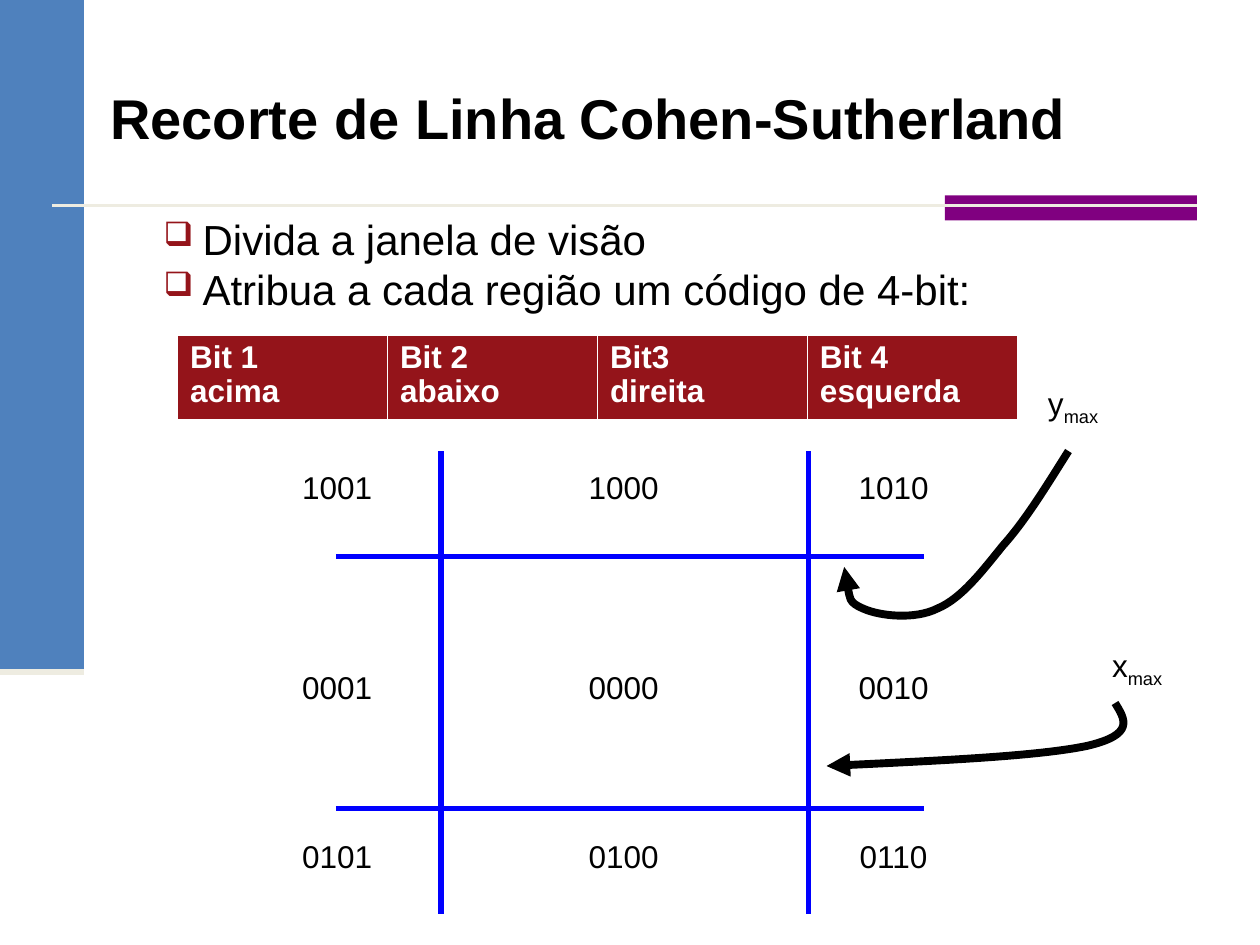
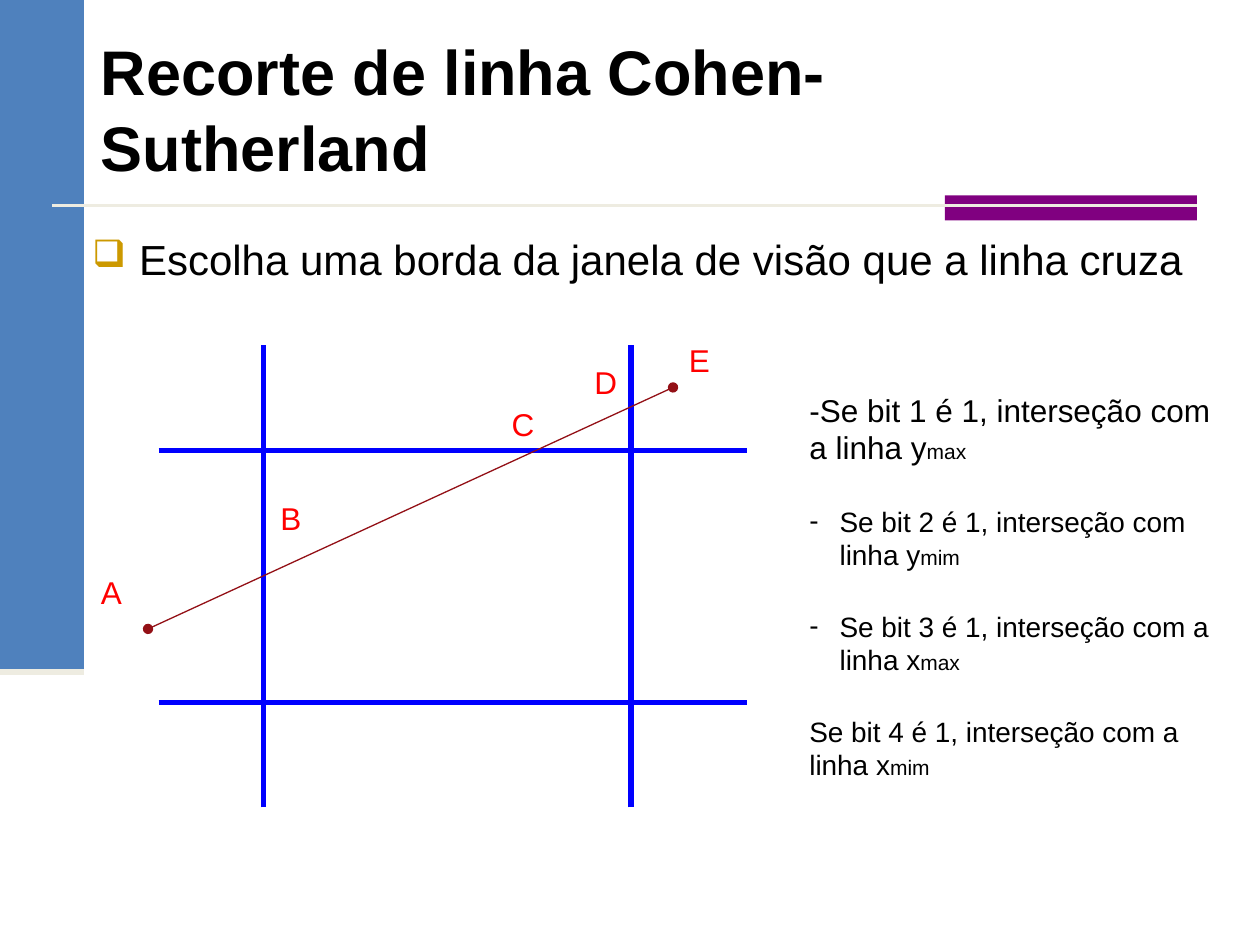
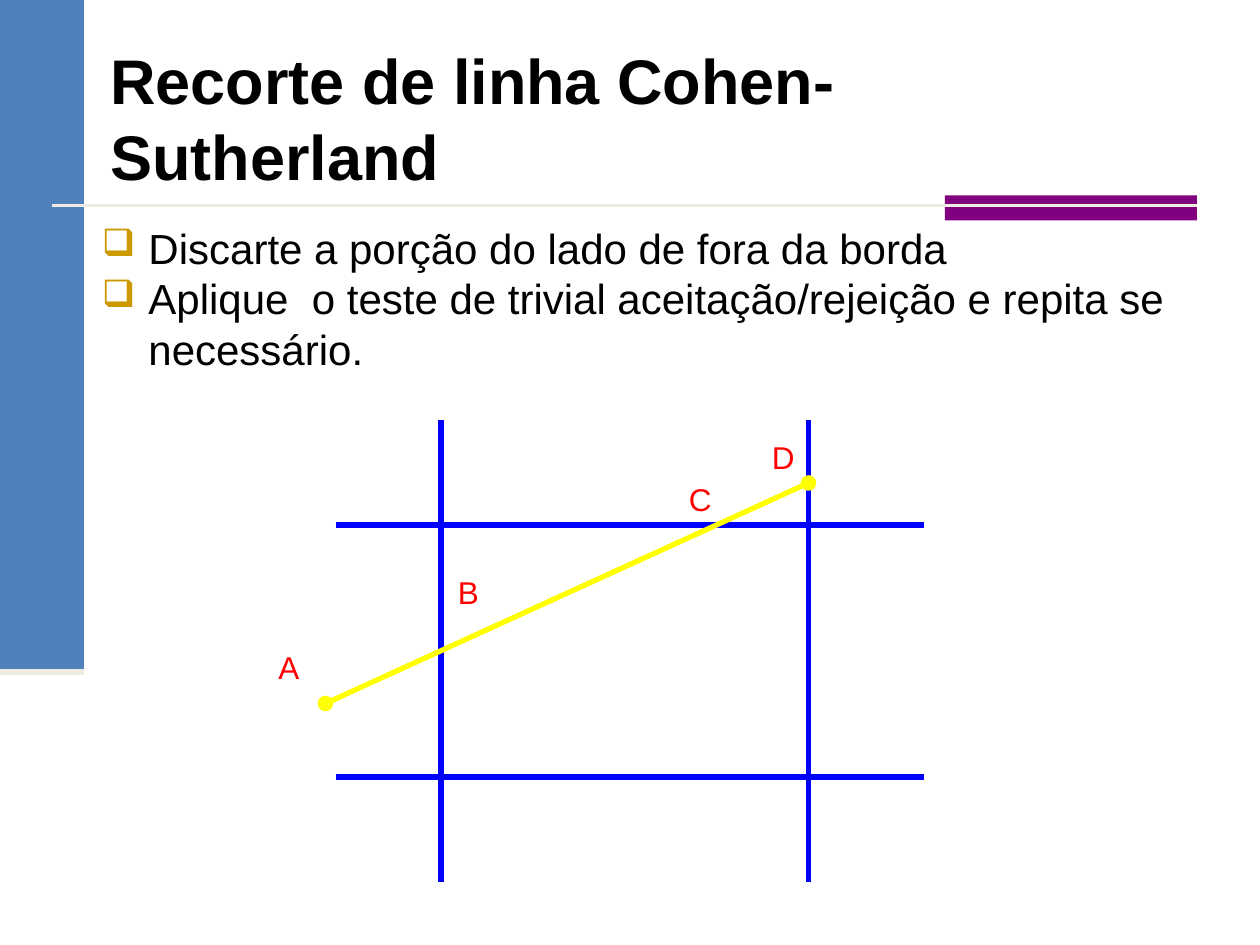
from lxml import etree
from pptx import Presentation
from pptx import util as u
from pptx.dml.color import RGBColor
from pptx.enum import shapes, text
from pptx.oxml import ns

# Shared look. The slide is a grid of 120 columns by 90 rows.
CELL = u.Inches(10) // 120
FONT = "Arial"
COLORS = {
    "band": "4F81BD", "accent": "800080", "rule": "EEECE1",
    "ink": "000000", "paper": "FFFFFF", "header": "94141A",
    "gold": "CC9900", "window": "0000FF", "label": "FF0000",
    "segment": "931016", "clipped": "FFFF00",
}
# Window lines, in cells from the window's top left corner
WINDOW_COLS = (0, 10, 45, 56)
WINDOW_ROWS = (0, 10, 34, 44)
POINT_LABELS = {"A": (-4.5, 23.5), "B": (12.6, 16.4), "C": (34.7, 7.5),
                "D": (42.6, 3.5), "E": (51.5, 1.4)}


def grid(*cells):
    return [u.Emu(round(cell * CELL)) for cell in cells]


def rgb(name):
    return RGBColor.from_string(COLORS[name])


def add_xml(parent, tag, **attributes):
    return etree.SubElement(parent, ns.qn(tag), attributes)


# Text
def add_span(para, words, size, color="ink", bold=False, subscript=False):
    span = para.add_run()
    span.text = words
    font = span.font
    font.name, font.size, font.bold = FONT, u.Pt(size), bold
    font.color.rgb = rgb(color)
    if subscript:
        font._element.set("baseline", "-25000")


def next_para(frame):
    """Return the empty first paragraph, or a new one."""
    first = frame.paragraphs[0]
    return first if not first.runs else frame.add_paragraph()


def add_bullet(para, mark, face, left, hang, color="ink", percent=100):
    """Hang the mark; left and hang are in inches."""
    props = para._p.get_or_add_pPr()
    props.set("marL", str(u.Inches(left)))
    props.set("indent", str(-u.Inches(hang)))
    add_xml(add_xml(props, "a:buClr"), "a:srgbClr", val=COLORS[color])
    add_xml(props, "a:buSzPct", val=str(percent * 1000))
    add_xml(props, "a:buFont", typeface=face)
    add_xml(props, "a:buChar", char=mark)


def add_text_box(page, col, row, cols, rows, wrap=True):
    frame = page.shapes.add_textbox(*grid(col, row, cols, rows)).text_frame
    frame.word_wrap = wrap
    return frame


def add_label(page, col, row, words, color="ink", subscript=""):
    """Centre a short label on a grid point."""
    frame = add_text_box(page, col - 5, row - 2.4, 10, 4.8, wrap=False)
    frame.vertical_anchor = text.MSO_ANCHOR.MIDDLE
    para = next_para(frame)
    para.alignment = text.PP_ALIGN.CENTER
    add_span(para, words, 18, color)
    if subscript:
        add_span(para, subscript, 18, color, subscript=True)


def add_bullet_list(page, box, items, left=0.38, hang=0.37, color="gold", percent=90):
    frame = add_text_box(page, *box)
    for item in items:
        para = next_para(frame)
        add_bullet(para, "q", "Wingdings", left, hang, color, percent)
        add_span(para, item, 24)


# Lines and shapes
def add_line(page, start, end, color, width, ends=None):
    line = page.shapes.add_connector(
        shapes.MSO_CONNECTOR.STRAIGHT, *grid(*start, *end))
    line.line.color.rgb = rgb(color)
    line.line.width = u.Pt(width)
    if ends:
        stroke = line.line._get_or_add_ln()
        add_xml(stroke, "a:headEnd", type=ends)
        add_xml(stroke, "a:tailEnd", type=ends)
    add_xml(line._element.spPr, "a:effectLst")


def add_block(page, col, row, cols, rows, color):
    block = page.shapes.add_shape(
        shapes.MSO_SHAPE.RECTANGLE, *grid(col, row, cols, rows))
    block.shadow.inherit = False
    block.fill.solid()
    block.fill.fore_color.rgb = rgb(color)
    block.line.fill.background()


def add_curved_arrow(page, *points):
    """Draw cubic curves from the first point; each takes three more, in inches."""
    start, *rest = [(u.Inches(x), u.Inches(y)) for x, y in points]
    builder = page.shapes.build_freeform(*start)
    builder.add_line_segments(rest, close=False)
    arrow = builder.convert_to_shape()
    arrow.shadow.inherit = False
    arrow.fill.background()
    arrow.line.color.rgb = rgb("ink")
    arrow.line.width = u.Pt(4.5)
    add_xml(arrow.line._get_or_add_ln(), "a:tailEnd", type="triangle")
    steps = list(arrow._element.iter(ns.qn("a:lnTo")))
    for first in range(0, len(steps), 3):
        curve = add_xml(steps[first].getparent(), "a:cubicBezTo")
        for step in steps[first:first + 3]:
            curve.append(step[0])
            step.getparent().remove(step)


def add_window(page, col, row):
    left, *verticals, right = [col + offset for offset in WINDOW_COLS]
    top, *horizontals, bottom = [row + offset for offset in WINDOW_ROWS]
    for y in horizontals:
        add_line(page, (left, y), (right, y), "window", 3)
    for x in verticals:
        add_line(page, (x, bottom), (x, top), "window", 3)


def add_clipping(page, col, row, names, end, color, width):
    """Draw the window, a segment that crosses it and the named points."""
    add_window(page, col, row)
    add_line(page, (col + end[0], row + end[1]), (col - 1, row + 27),
             color, width, ends="oval")
    for name in names:
        x, y = POINT_LABELS[name]
        add_label(page, col + x, row + y, name, "label")


def add_code_table(page, headings):
    table = page.shapes.add_table(
        1, len(headings), *grid(16.9, 31.9, 80, 4.9)).table
    for cell, lines in zip(table.rows[0].cells, headings):
        cell.fill.solid()
        cell.fill.fore_color.rgb = rgb("header")
        for words in lines:
            para = next_para(cell.text_frame)
            para.line_spacing = 0.96
            add_span(para, words, 18, "paper", bold=True)


# Page with band, rules and title
def add_page(deck, title, size, col=9.3, row=3.7):
    page = deck.slides.add_slide(deck.slide_layouts[5])
    add_block(page, 0, 0, 8, 64, "band")
    add_block(page, 90, 18.6, 24, 2.4, "accent")
    add_line(page, (5, 19.6), (114, 19.6), "rule", 1.5)
    add_line(page, (0, 64), (8, 64), "rule", 3.5)
    box = page.shapes.title
    box.left, box.top, box.width, box.height = grid(col, row, 97, 15)
    frame = box.text_frame
    frame.auto_size = text.MSO_AUTO_SIZE.NONE
    frame.vertical_anchor = text.MSO_ANCHOR.MIDDLE
    para = next_para(frame)
    para.alignment = text.PP_ALIGN.LEFT
    add_span(para, title, size, bold=True)
    return page


def add_region_codes(deck):
    page = add_page(deck, "Recorte de Linha Cohen-Sutherland", 32)
    add_bullet_list(page, (8.4, 19.7, 102, 14),
                    ["Divida a janela de visão",
                     "Atribua a cada região um código de 4-bit:"],
                    left=0.81, hang=0.31, color="header", percent=80)
    add_window(page, 32, 43)
    codes = {46.4: ("1001", "1000", "1010"),
             65.4: ("0001", "0000", "0010"),
             81.5: ("0101", "0100", "0110")}
    for row, row_codes in codes.items():
        for col, code in zip((32.1, 59.4, 85.1), row_codes):
            add_label(page, col, row, code)
    add_curved_arrow(page, (8.48, 3.58),
                     (8.31, 3.85), (8.14, 4.13), (7.96, 4.33),
                     (7.79, 4.54), (7.63, 4.75), (7.44, 4.83),
                     (7.26, 4.92), (6.98, 4.89), (6.85, 4.83),
                     (6.73, 4.78), (6.72, 4.64), (6.7, 4.5))
    add_curved_arrow(page, (8.85, 5.58),
                     (8.93, 5.71), (9.01, 5.83), (8.63, 5.92),
                     (8.25, 6), (7.4, 6.04), (6.56, 6.08))
    add_label(page, 102.2, 38.6, "y", subscript="max")
    add_label(page, 108.3, 63.6, "x", subscript="max")
    add_code_table(page, [("Bit 1", "acima"), ("Bit 2", "abaixo"),
                          ("Bit3", "direita"), ("Bit 4", "esquerda")])


def add_edge_choice(deck):
    page = add_page(deck, "Recorte de linha Cohen-Sutherland", 36, 8.4, 2.8)
    add_bullet_list(page, (7.5, 21.6, 109.6, 6.6),
                    ["Escolha uma borda da janela de visão que a linha cruza"])
    add_clipping(page, 15.1, 32.9, "ABCDE", (49, 4), "segment", 0.75)
    rules = [("-Se bit 1 é 1, interseção com a linha y", "max", 18, False),
             ("Se bit 2 é 1, interseção com linha y", "mim", 16, True),
             ("Se bit 3 é 1, interseção com a linha x", "max", 16, True),
             ("Se bit 4 é 1, interseção com a linha x", "mim", 16, False)]
    frame = add_text_box(page, 75.9, 36.6, 42.2, 40)
    for number, (words, limit, size, dashed) in enumerate(rules):
        para = next_para(frame)
        para.space_before = u.Pt(21.7 if number else 0)
        if dashed:
            add_bullet(para, "-", FONT, 0.24, 0.24)
        add_span(para, words, size)
        add_span(para, limit, 12)


def add_discard(deck):
    page = add_page(deck, "Recorte de linha Cohen-Sutherland", 36)
    add_bullet_list(page, (8.4, 20.6, 105, 18.7),
                    ["Discarte a porção do lado de fora da borda",
                     "Aplique  o teste de trivial aceitação/rejeição e repita se necessário."])
    add_clipping(page, 32, 40, "ABCD", (45, 6), "clipped", 3)


def main():
    deck = Presentation()
    deck.slide_width, deck.slide_height = grid(120, 90)
    add_region_codes(deck)
    add_edge_choice(deck)
    add_discard(deck)
    deck.save("out.pptx")


if __name__ == "__main__":
    main()
